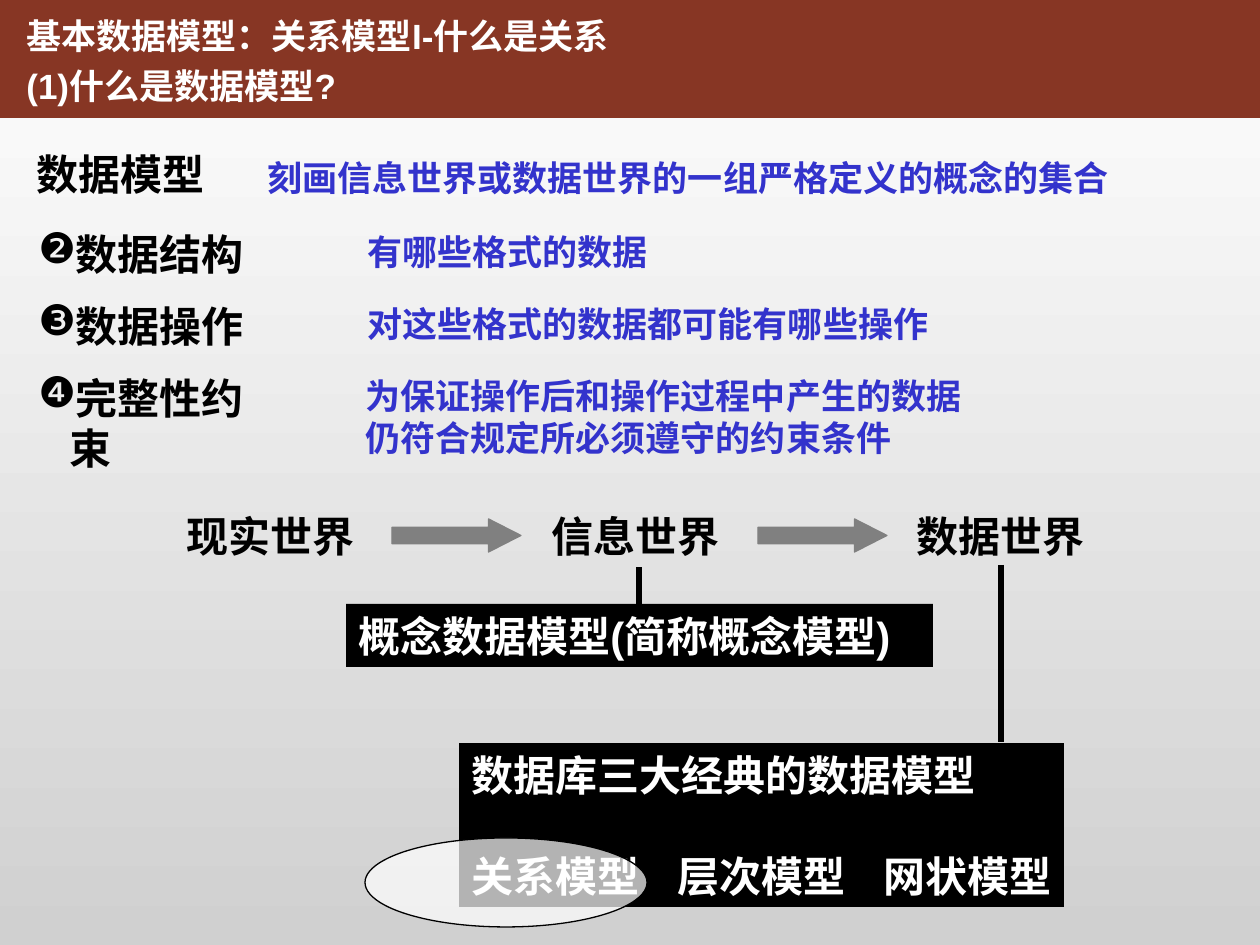
from lxml import etree
from pptx import Presentation
from pptx.dml.color import RGBColor
from pptx.enum.shapes import MSO_CONNECTOR, MSO_SHAPE
from pptx.enum.text import MSO_ANCHOR, MSO_AUTO_SIZE, PP_ALIGN
from pptx.oxml.ns import qn
from pptx.util import Pt

RECTANGLE, ELLIPSE, ARROW = MSO_SHAPE.RECTANGLE, MSO_SHAPE.OVAL, MSO_SHAPE.RIGHT_ARROW
STRAIGHT = MSO_CONNECTOR.STRAIGHT
TOP, LEFT = MSO_ANCHOR.TOP, PP_ALIGN.LEFT
GROW = MSO_AUTO_SIZE.SHAPE_TO_FIT_TEXT

PX_PER_INCH = 126
HAN, LATIN = "Noto Sans CJK SC", "Arial"
BLACK, WHITE, BLUE, GREY, BROWN = "000000", "FFFFFF", "3333CC", "808080", "873624"


def px(length):
    return round(length * 914400 / PX_PER_INCH)


def color(value):
    return RGBColor.from_string(value)


def add_bullet(para, mark, indent):
    props = para._p.get_or_add_pPr()
    props.set("marL", str(px(indent)))
    props.set("indent", str(-px(indent)))
    bullet_color = etree.SubElement(props, qn("a:buClr"))
    etree.SubElement(bullet_color, qn("a:srgbClr"), val=BLACK)
    etree.SubElement(props, qn("a:buChar"), char=mark)


def add_tabs(para, stops):
    tabs = etree.SubElement(para._p.get_or_add_pPr(), qn("a:tabLst"))
    for stop in stops:
        etree.SubElement(tabs, qn("a:tab"), pos=str(px(stop)), algn="l")


def add_span(para, text, size, ink, font):
    span = para.add_run()
    span.text = text
    span.font.size = Pt(size)
    span.font.bold = True
    span.font.name = font
    span.font.color.rgb = color(ink)
    etree.SubElement(span._r.get_or_add_rPr(), qn("a:ea"), typeface=HAN)


def write(box, lines, size, ink, font=HAN, wrap=False):
    """Write each line as a paragraph; a line is a list of (text, font) or a string."""
    frame = box.text_frame
    frame.word_wrap = wrap
    frame.auto_size = GROW
    frame.vertical_anchor = TOP
    paras = []
    for index, line in enumerate(lines):
        para = frame.add_paragraph() if index else frame.paragraphs[0]
        para.alignment = LEFT
        for text, face in [(line, font)] if isinstance(line, str) else line:
            add_span(para, text, size, ink, face)
        paras.append(para)
    return paras


def add_text(page, at, lines, size, ink, font=HAN):
    box = page.shapes.add_textbox(*map(px, at))
    return write(box, lines, size, ink, font, wrap=True)


def add_block(page, kind, at, fill, outline=None):
    block = page.shapes.add_shape(kind, *map(px, at))
    block.shadow.inherit = False
    block.fill.solid()
    block.fill.fore_color.rgb = color(fill)
    if outline:
        block.line.color.rgb = color(outline)
        block.line.width = Pt(0.75)
    else:
        block.line.fill.background()
    return block


def add_line(page, x, top, bottom):
    line = page.shapes.add_connector(STRAIGHT, px(x), px(top), px(x), px(bottom))
    line.line.color.rgb = color(BLACK)
    line.line.width = Pt(3)
    etree.SubElement(line._element.spPr, qn("a:effectLst"))


def paint_background(page):
    fill = page.background.fill
    fill.gradient()
    fill.gradient_angle = 270
    for stop, shade in zip(fill.gradient_stops, (WHITE, "D0D0D0")):
        stop.color.rgb = color(shade)


def add_title(page):
    add_block(page, RECTANGLE, (0, 0, 1260, 118), BROWN)
    lines = ["基本数据模型：关系模型I-什么是关系", "(1)什么是数据模型?"]
    for para in add_text(page, (14, 0, 640, 113), lines, 20, WHITE, LATIN):
        para.line_spacing = 1.2


def add_definitions(page):
    add_text(page, (24, 142, 198, 63), ["数据模型"], 24, BLACK)
    add_text(page, (255, 150, 872, 55), ["刻画信息世界或数据世界的一组严格定义的概念的集合"], 20, BLUE)
    parts = [
        ("❷", "数据结构", 355, 312, ["有哪些格式的数据"]),
        ("❸", "数据操作", 355, 592, ["对这些格式的数据都可能有哪些操作"]),
        ("❹", "完整性约束", 353, 627,
         ["为保证操作后和操作过程中产生的数据", "仍符合规定所必须遵守的约束条件"]),
    ]
    for row, (mark, term, left, width, meaning) in enumerate(parts):
        top = 222 + 72 * row
        # The longest term wraps under its hanging indent
        term_para, = add_text(page, (26, top, 258, 63), [term], 24, BLACK)
        add_bullet(term_para, mark, 31)
        height = 13 + 42 * len(meaning)
        add_text(page, (left, top + 2, width, height), meaning, 20, BLUE)


def add_worlds(page):
    for column, world in enumerate(["现实世界", "信息世界", "数据世界"]):
        add_text(page, (174 + 365 * column, 504, 198, 63), [world], 24, BLACK, LATIN)
    for left in (392, 758):
        arrow = add_block(page, ARROW, (left, 519, 129, 33), GREY, GREY)
        arrow.adjustments[0], arrow.adjustments[1] = 0.5, 0.98
    add_line(page, 1001, 565, 742)
    add_line(page, 639, 567, 605)


def add_models(page):
    concept = add_block(page, RECTANGLE, (346, 604, 587, 63), BLACK)
    write(concept, ["概念数据模型(简称概念模型)"], 24, WHITE, LATIN)

    classic = add_block(page, RECTANGLE, (459, 743, 605, 164), BLACK)
    heading = [("数据库三大", LATIN), ("经典的数据模型", HAN)]
    kinds = "\t".join(["关系模型", "层次模型", "网状模型"])
    kinds_para = write(classic, [heading, kinds], 24, WHITE)[1]
    kinds_para.space_before = Pt(29)
    add_tabs(kinds_para, (206, 412))

    # Translucent highlight over the relational model
    highlight = add_block(page, ELLIPSE, (365, 838, 282, 89), WHITE, BLACK)
    fill_color = highlight._element.spPr.find(qn("a:solidFill"))[0]
    etree.SubElement(fill_color, qn("a:alpha"), val="70000")


def main():
    deck = Presentation()
    deck.slide_width, deck.slide_height = px(1260), px(945)
    page = deck.slides.add_slide(deck.slide_layouts[6])
    paint_background(page)
    add_title(page)
    add_definitions(page)
    add_worlds(page)
    add_models(page)
    deck.save("out.pptx")


if __name__ == "__main__":
    main()
